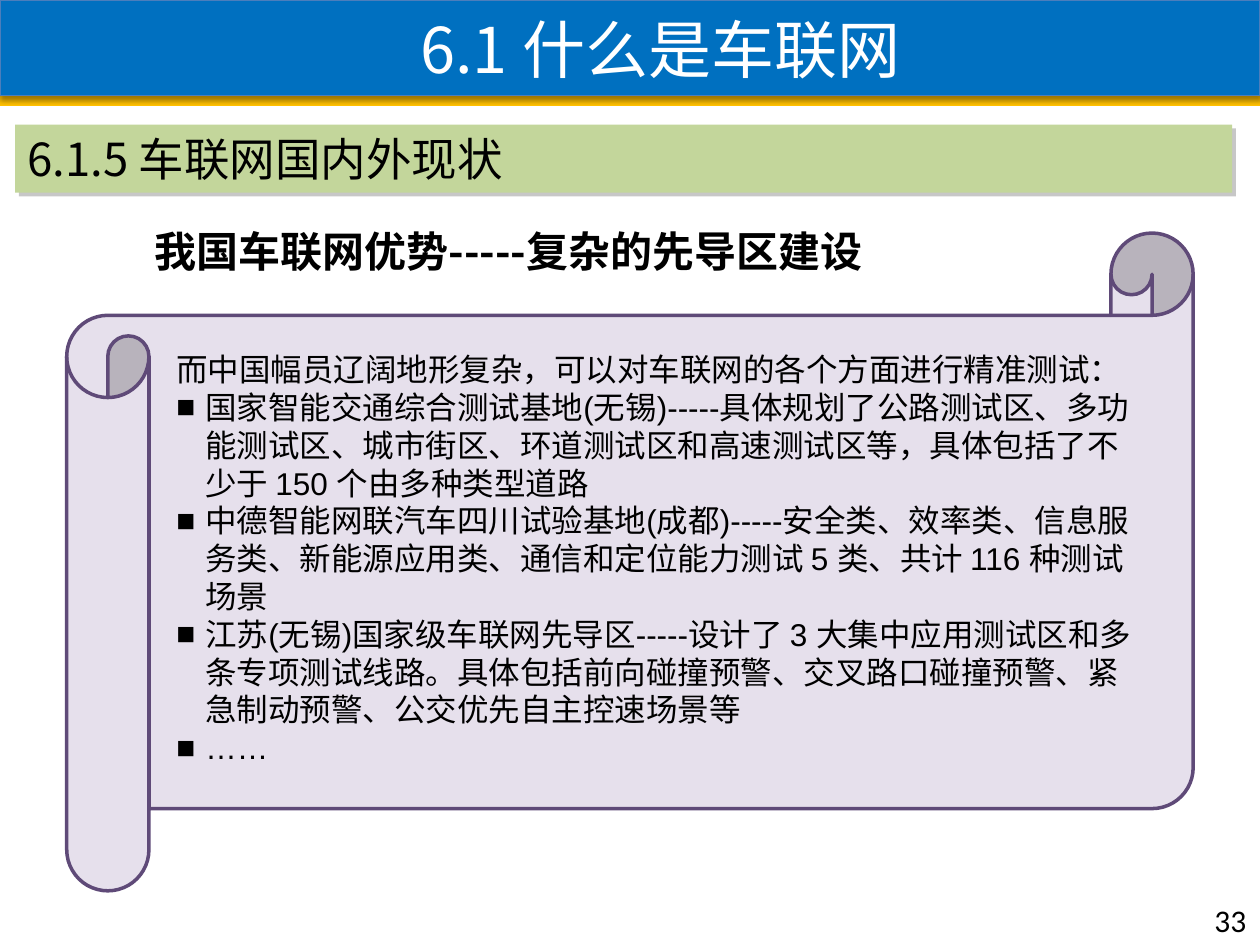
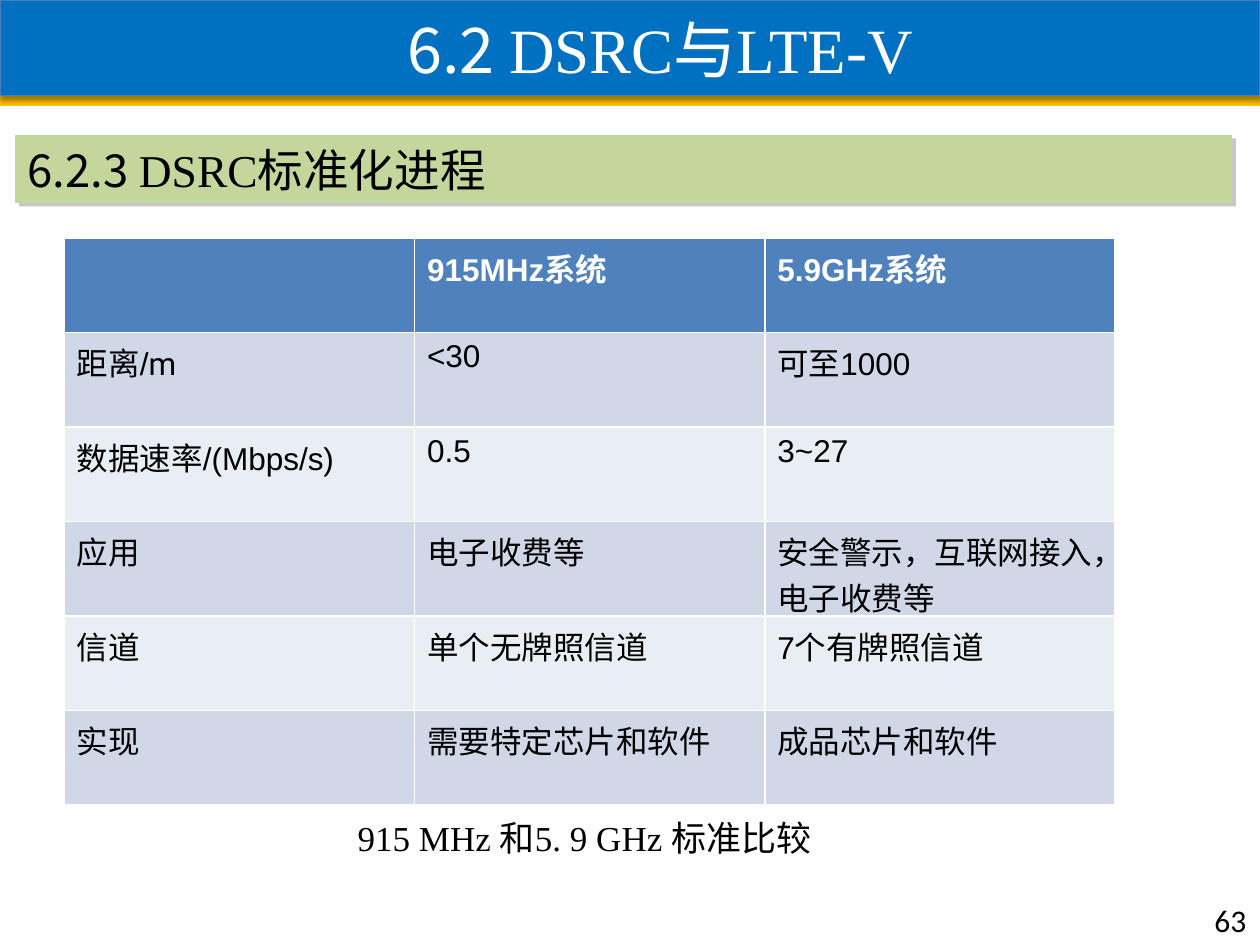
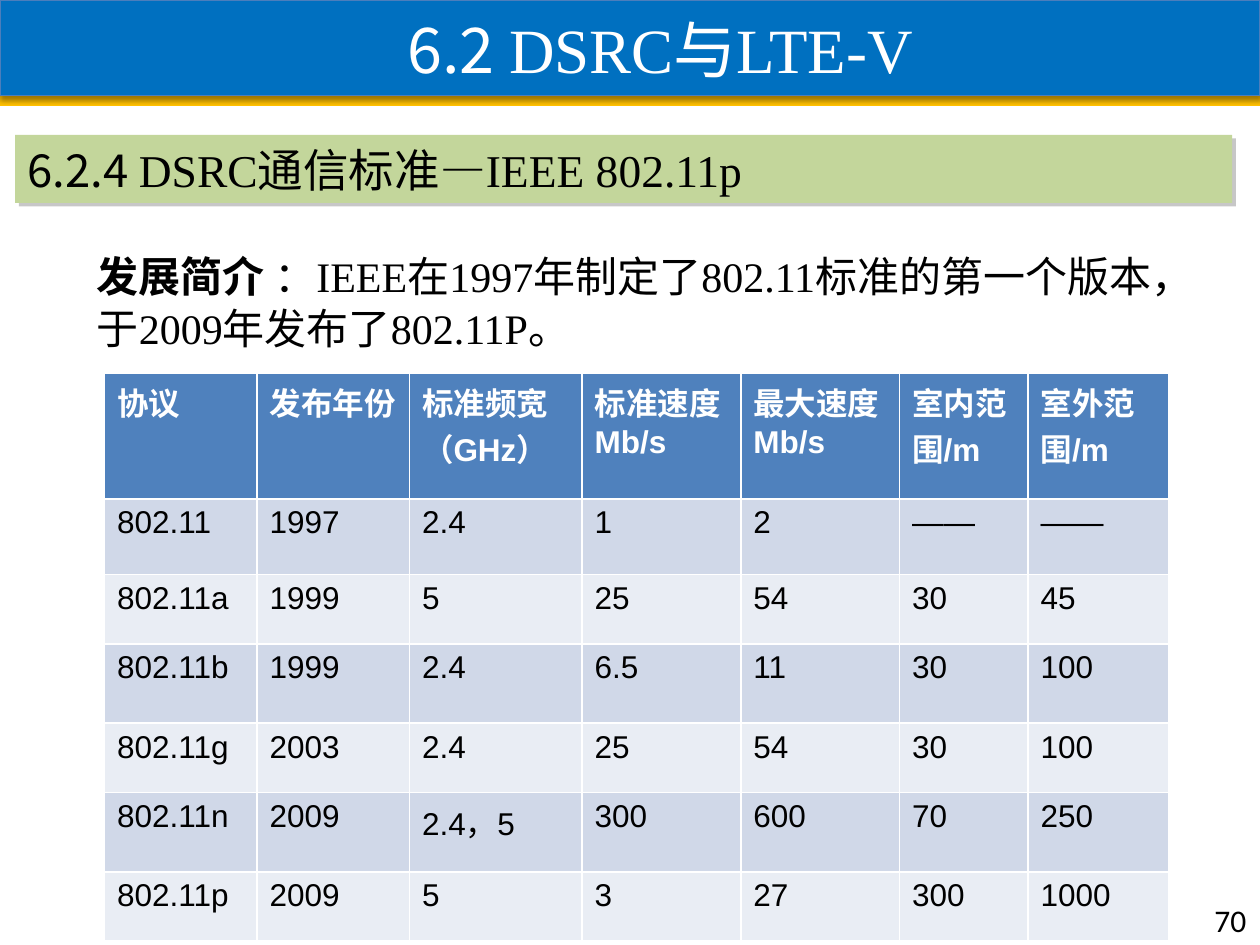
"""Build three slides on connected vehicles and the DSRC standards."""
from lxml.etree import SubElement
from pptx import Presentation
from pptx.dml.color import RGBColor
from pptx.enum.shapes import MSO_SHAPE
from pptx.enum.text import MSO_ANCHOR, MSO_AUTO_SIZE, PP_ALIGN
from pptx.oxml.ns import qn
from pptx.util import Inches, Pt

NOTO, TIMES, ARIAL = "Noto Sans CJK SC", "Times New Roman", "Arial"
BLACK, WHITE = "000000", "FFFFFF"


def write(para, runs, size, font, color=BLACK, bold=False):
    """Fill a paragraph with (text, font) runs; a font of None keeps the shared one."""
    for text, face in runs:
        run = para.add_run()
        run.text = text
        if face:
            run.font.name = face
    para.font.size = Pt(size)
    para.font.name = font
    para.font.bold = bold
    para.font.color.rgb = RGBColor.from_string(color)
    SubElement(para._p.pPr.find(qn("a:defRPr")), qn("a:ea"), typeface=NOTO)


def paint(shape, fill, line=None, width=0, shade=None):
    """Set fill, line and an optional (colour, alpha, blur, distance, angle) shadow."""
    shape.fill.solid()
    shape.fill.fore_color.rgb = RGBColor.from_string(fill)
    if line:
        shape.line.color.rgb = RGBColor.from_string(line)
        shape.line.width = Pt(width)
    else:
        shape.line.fill.background()
    shape.shadow.inherit = False
    if shade:
        color, alpha, blur, dist, angle = shade
        effects = shape._element.spPr.find(qn("a:effectLst"))
        outer = SubElement(effects, qn("a:outerShdw"), blurRad=str(Pt(blur)),
                           dist=str(Pt(dist)), dir=str(angle * 60000),
                           algn="tl", rotWithShape="0")
        tone = SubElement(outer, qn("a:srgbClr"), val=color)
        SubElement(tone, qn("a:alpha"), val=str(alpha * 1000))


DSRC = [("6.2 ", None), ("DSRC与LTE-V", TIMES)]
PAGES = [
    (1, [("6.1 什么是车联网", None)], 0.99, [("6.1.5 车联网国内外现状", None)], "33"),
    (5, DSRC, 1.07, [("6.2.3 ", None), ("DSRC", TIMES), ("标准化进程", None)], "63"),
    (5, DSRC, 1.07, [("6.2.4 ", None), ("DSRC", TIMES), ("通信标准—", None),
                     ("IEEE 802.11p", TIMES)], "70"),
]
NOTES = [
    (0, 1.13, 1.74, 6, 0.51, [("我国车联网优势-----复杂的先导区建设", None)], 24, NOTO, True),
    (1, 2.74, 6.43, 4.52, 0.44, [("915 MHz 和5. 9 GHz 标准比较", None)], 20, TIMES, False),
    (2, 0.67, 1.93, 8.93, 0.91,
     [("发展简介 ", None), ("：IEEE在1997年制定了802.11标准的第一个版本，于2009年发布了802.11P。", None)],
     24, TIMES, False),
]
SITES = [
    "而中国幅员辽阔地形复杂，可以对车联网的各个方面进行精准测试：",
    "国家智能交通综合测试基地(无锡)-----具体规划了公路测试区、多功能测试区、城市街区、"
    "环道测试区和高速测试区等，具体包括了不少于 150 个由多种类型道路",
    "中德智能网联汽车四川试验基地(成都)-----安全类、效率类、信息服务类、新能源应用类、"
    "通信和定位能力测试 5 类、共计 116 种测试场景",
    "江苏(无锡)国家级车联网先导区-----设计了 3 大集中应用测试区和多条专项测试线路。"
    "具体包括前向碰撞预警、交叉路口碰撞预警、紧急制动预警、公交优先自主控速场景等",
    "……",
]
BANDS = [
    ["", "915MHz系统", "5.9GHz系统"],
    ["距离/m", "<30", "可至1000"],
    ["数据速率/(Mbps/s)", "0.5", "3~27"],
    ["应用", "电子收费等", "安全警示，互联网接入，电子收费等"],
    ["信道", "单个无牌照信道", "7个有牌照信道"],
    ["实现", "需要特定芯片和软件", "成品芯片和软件"],
]
NORMS = [
    ["协议", "发布年份", "标准频宽（GHz）", "标准速度Mb/s", "最大速度Mb/s", "室内范围/m", "室外范围/m"],
    ["802.11", "1997", "2.4", "1", "2", "——", "——"],
    ["802.11a", "1999", "5", "25", "54", "30", "45"],
    ["802.11b", "1999", "2.4", "6.5", "11", "30", "100"],
    ["802.11g", "2003", "2.4", "25", "54", "30", "100"],
    ["802.11n", "2009", "2.4，5", "300", "600", "70", "250"],
    ["802.11p", "2009", "5", "3", "27", "300", "1000"],
]
GRIDS = [
    (1, 0.51, 1.89, BANDS, [2.78] * 3, [0.75] * 6),
    (2, 0.83, 2.96, NORMS, [1.21, 1.21, 1.37, 1.26, 1.26, 1.02, 1.12],
     [1, 0.6, 0.55, 0.63, 0.55, 0.63, 0.55]),
]

deck = Presentation()
deck.slide_width, deck.slide_height = Inches(10), Inches(7.5)
slides = []

for layout, head, top, topic, number in PAGES:
    slide = deck.slides.add_slide(deck.slide_layouts[layout])
    slides.append(slide)
    title = slide.shapes.title
    title.left, title.top, title.width, title.height = 0, 0, Inches(10), Inches(0.76)
    paint(title, "0070C0", "4B7EBC", 0.75, (BLACK, 38, 3.1, 1.6, 90))
    frame = title.text_frame
    frame.auto_size = MSO_AUTO_SIZE.NONE
    frame.vertical_anchor = MSO_ANCHOR.MIDDLE
    frame.margin_left = Inches(0.58)
    frame.paragraphs[0].alignment = PP_ALIGN.CENTER
    write(frame.paragraphs[0], head, 36, NOTO, WHITE)

    strip = slide.shapes.add_shape(MSO_SHAPE.RECTANGLE, Inches(0.12), Inches(top),
                                   Inches(9.66), Inches(0.54))
    paint(strip, "C3D69B", shade=("808080", 43, 0, 3, 45))
    strip.text_frame.paragraphs[0].alignment = PP_ALIGN.LEFT
    write(strip.text_frame.paragraphs[0], topic, 26, NOTO)

    page = slide.shapes.add_textbox(Inches(9.54), Inches(7.1), Inches(0.47), Inches(0.4))
    write(page.text_frame.paragraphs[0], [(number, None)], 18, "Calibri")

rule = slides[0].shapes.add_shape(MSO_SHAPE.RECTANGLE, 0, Inches(0.76),
                                  Inches(10), Inches(0.08))
paint(rule, "FFC000")
deck.slide_master.shapes._spTree.insert(2, rule._element)

for index, left, top, width, height, runs, size, font, bold in NOTES:
    note = slides[index].shapes.add_textbox(Inches(left), Inches(top),
                                            Inches(width), Inches(height))
    note.text_frame.word_wrap = True
    para = note.text_frame.paragraphs[0]
    write(para, runs, size, font, bold=bold)
    if len(runs) > 1:
        para.line_spacing = Pt(29.5)
        para.runs[0].font.bold = True

scroll = slides[0].shapes.add_shape(MSO_SHAPE.HORIZONTAL_SCROLL, Inches(0.53), Inches(1.85),
                                    Inches(8.94), Inches(5.22))
paint(scroll, "E6E0EC", "5F4A78", 2)
body = slides[0].placeholders[1]
body.left, body.top, body.width, body.height = (Inches(n) for n in (1.3, 2.73, 7.8, 4))
slides[0].shapes._spTree.append(body._element)
frame = body.text_frame
frame.auto_size = MSO_AUTO_SIZE.NONE
frame.vertical_anchor = MSO_ANCHOR.TOP
for row, text in enumerate(SITES):
    para = frame.add_paragraph() if row else frame.paragraphs[0]
    props = para._p.get_or_add_pPr()
    inset = Inches(0.23) if row else 0
    props.set("marL", str(inset))
    props.set("indent", str(-inset))
    if row:
        SubElement(props, qn("a:buChar"), char="■")
    else:
        SubElement(props, qn("a:buNone"))
    para.space_before = Pt(0)
    para.line_spacing = Pt(21.6)
    write(para, [(text, None)], 18, ARIAL)

for index, left, top, data, widths, heights in GRIDS:
    grid = slides[index].shapes.add_table(len(data), len(widths), Inches(left), Inches(top),
                                          Inches(sum(widths)), Inches(sum(heights))).table
    for col, width in zip(grid.columns, widths):
        col.width = Inches(width)
    for row, (line, height) in enumerate(zip(data, heights)):
        grid.rows[row].height = Inches(height)
        fill = ("D0D8E8" if row % 2 else "E9EDF4") if row else "4F81BD"
        for col, text in enumerate(line):
            cell = grid.cell(row, col)
            cell.fill.solid()
            cell.fill.fore_color.rgb = RGBColor.from_string(fill)
            runs = [("距离/", None), ("m", "Roboto")] if text == "距离/m" else [(text, None)]
            if text:
                write(cell.text_frame.paragraphs[0], runs, 18, ARIAL,
                      BLACK if row else WHITE, not row)

deck.save("out.pptx")
